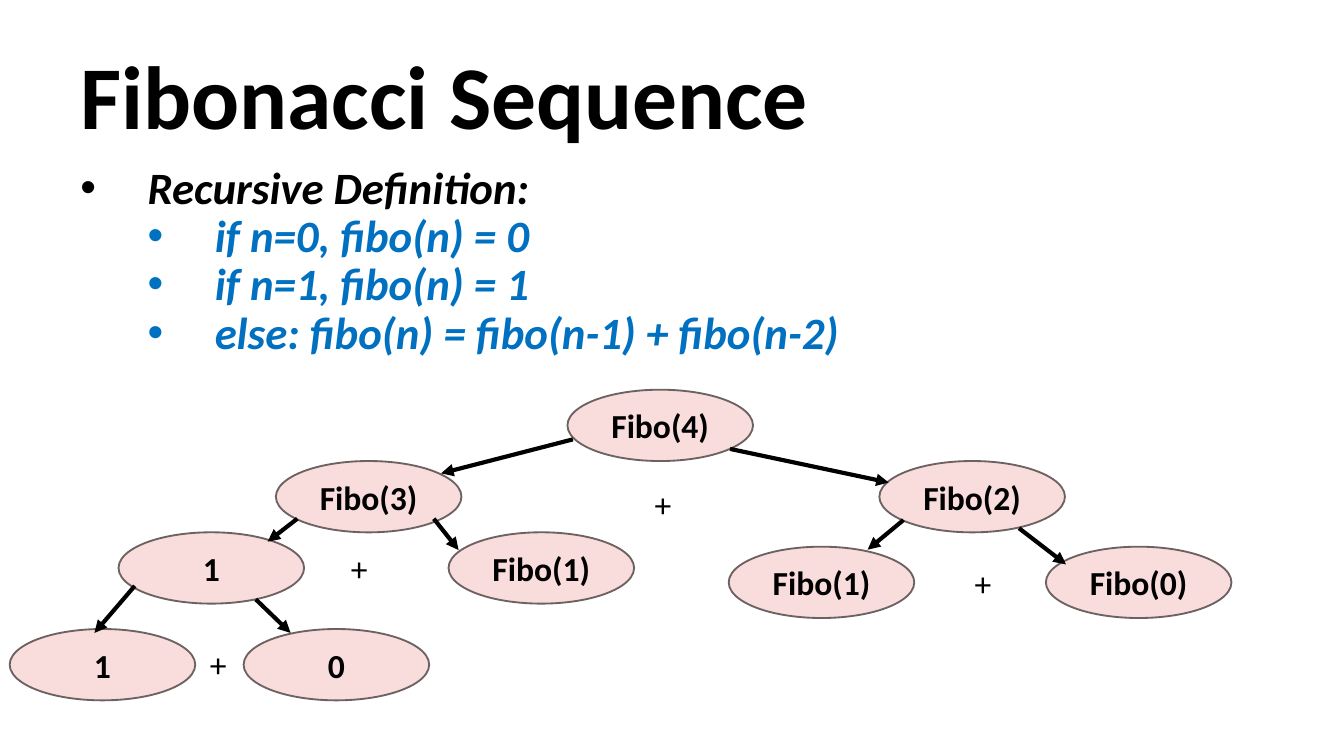
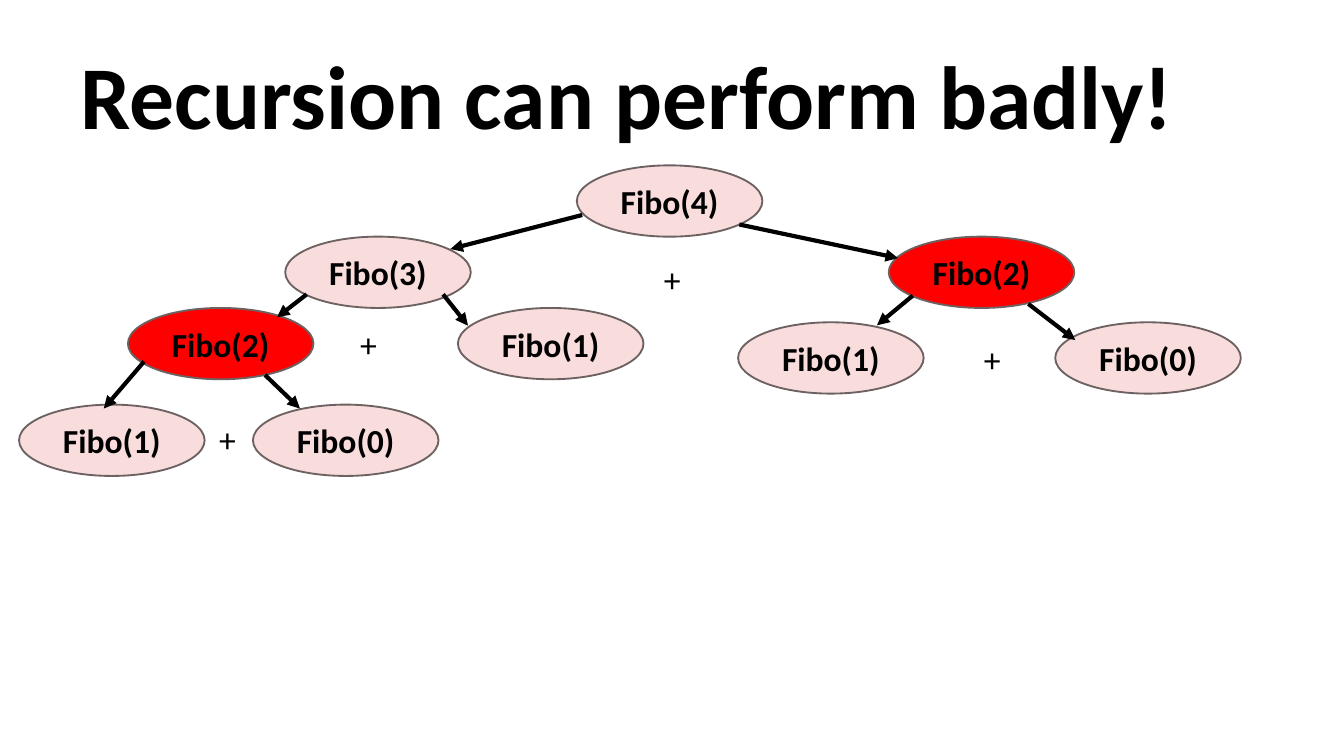
from lxml.etree import SubElement
from pptx import Presentation
from pptx.dml.color import RGBColor
from pptx.enum.shapes import MSO_CONNECTOR, MSO_SHAPE
from pptx.enum.text import MSO_ANCHOR, MSO_AUTO_SIZE, PP_ALIGN
from pptx.oxml.ns import qn
from pptx.util import Pt

FONT = "Calibri"
COLORS = {
    "ink": "000000",
    "rule": "0070C0",
    "call": "F9DDDD",
    "repeated": "FF0000",
    "outline": "6D6161",
}

DEFINITION = [
    (0, "Recursive Definition:", "ink"),
    (1, "if n=0, fibo(n) = 0", "rule"),
    (1, "if n=1, fibo(n) = 1", "rule"),
    (1, "else: fibo(n) = fibo(n-1) + fibo(n-2)", "rule"),
]

# Each call is named by its path from the root: L = left, R = right.
# All places in the tree are measured from the root's top left corner.
CALL_SIZE = (99.4, 38.2)
CALLS = {
    "root": (0, 0, "Fibo(4)"),
    "L": (-156.2, 38.2, "Fibo(3)"),
    "R": (167.1, 38.2, "Fibo(2)"),
    "LL": (-240.5, 76.4, "Fibo(2)"),
    "LR": (-63.7, 76.4, "Fibo(1)"),
    "LLL": (-298.8, 128.2, "Fibo(1)"),
    "RR": (256.3, 84.1, "Fibo(0)"),
    "LLR": (-173.5, 128.2, "Fibo(0)"),
    "RL": (86.4, 84.1, "Fibo(1)"),
}
ARROWS = [
    (87.1, 31.7, 172.1, 49.7),
    (241.9, 74.2, 267.1, 93.6),
    (-71.6, 69.1, -58.3, 85.9),
    (-167, 112.3, -148.3, 130.3),
    (2.9, 26.6, -67.7, 44.8),
    (-144.7, 69.1, -160.6, 81.4),
    (-231.8, 105.1, -253.4, 130.3),
    (180, 69.8, 160.8, 85.7),
]
PLUSES = [(39.6, 46.8), (-123.1, 81.4), (211, 89.3), (-198.7, 132.5)]

SLIDES = [
    {
        "title": "Fibonacci Sequence",
        "definition": DEFINITION,
        "root_at": (304, 208.8),
        "results": {"LL": "1", "LLL": "1", "LLR": "0"},
        "repeated": (),
    },
    {
        "title": "Recursion can perform badly!",
        "definition": [],
        "root_at": (309, 88.6),
        "results": {},
        "repeated": ("R", "LL"),
    },
]


def rgb(name):
    return RGBColor.from_string(COLORS[name])


def write(paragraph, text, size=18, color="ink", bold=False, italic=False,
          align=PP_ALIGN.LEFT, spacing=None):
    paragraph.alignment = align
    paragraph.line_spacing = spacing
    run = paragraph.add_run()
    run.text = text
    font = run.font
    font.name, font.size = FONT, Pt(size)
    font.bold, font.italic = bold, italic
    font.color.rgb = rgb(color)


def add_text_frame(slide, left, top, width, height):
    box = slide.shapes.add_textbox(Pt(left), Pt(top), Pt(width), Pt(height))
    box.text_frame.word_wrap = True
    return box.text_frame


def set_title(slide, text):
    title = slide.shapes.title
    title.left, title.top = Pt(36), Pt(22.5)
    title.width, title.height = Pt(648), Pt(62.5)
    frame = title.text_frame
    frame.auto_size = MSO_AUTO_SIZE.NONE
    frame.vertical_anchor = MSO_ANCHOR.MIDDLE
    write(frame.paragraphs[0], text, size=48, bold=True, spacing=0.9)


def add_definition(slide, lines):
    frame = add_text_frame(slide, 36, 85, 648, 131)
    for index, (level, text, color) in enumerate(lines):
        paragraph = frame.add_paragraph() if index else frame.paragraphs[0]
        paragraph.level = level
        write(paragraph, text, size=24, color=color, bold=True, italic=True,
              spacing=0.9)
        properties = paragraph._p.get_or_add_pPr()
        properties.set("marL", str(Pt(36 * (level + 1))))
        properties.set("indent", str(Pt(-36)))
        SubElement(properties, qn("a:buFont"), typeface="Arial")
        SubElement(properties, qn("a:buChar"), char="•")


def add_call(slide, left, top, label, fill):
    width, height = CALL_SIZE
    call = slide.shapes.add_shape(
        MSO_SHAPE.OVAL, Pt(left), Pt(top), Pt(width), Pt(height))
    call.shadow.inherit = False
    call.fill.solid()
    call.fill.fore_color.rgb = rgb(fill)
    call.line.color.rgb = rgb("outline")
    call.line.width = Pt(1)
    call.text_frame.vertical_anchor = MSO_ANCHOR.MIDDLE
    write(call.text_frame.paragraphs[0], label, bold=True,
          align=PP_ALIGN.CENTER)


def add_arrow(slide, *ends):
    arrow = slide.shapes.add_connector(
        MSO_CONNECTOR.STRAIGHT, *(Pt(end) for end in ends))
    arrow.line.color.rgb = rgb("ink")
    arrow.line.width = Pt(2.25)
    SubElement(arrow.line._get_or_add_ln(), qn("a:tailEnd"), type="triangle")
    SubElement(arrow._element.spPr, qn("a:effectLst"))


def add_tree(slide, root_at, results, repeated):
    x, y = root_at
    for name, (left, top, label) in CALLS.items():
        fill = "repeated" if name in repeated else "call"
        add_call(slide, x + left, y + top, results.get(name, label), fill)
    for x1, y1, x2, y2 in ARROWS:
        add_arrow(slide, x + x1, y + y1, x + x2, y + y2)
    for left, top in PLUSES:
        frame = add_text_frame(slide, x + left, y + top, 34, 29)
        frame.auto_size = MSO_AUTO_SIZE.SHAPE_TO_FIT_TEXT
        write(frame.paragraphs[0], "+")


def main():
    deck = Presentation()
    deck.slide_width, deck.slide_height = Pt(720), Pt(405)
    title_only = deck.slide_layouts[5]
    for content in SLIDES:
        slide = deck.slides.add_slide(title_only)
        set_title(slide, content["title"])
        if content["definition"]:
            add_definition(slide, content["definition"])
        add_tree(slide, content["root_at"], content["results"],
                 content["repeated"])
    deck.save("out.pptx")


if __name__ == "__main__":
    main()
